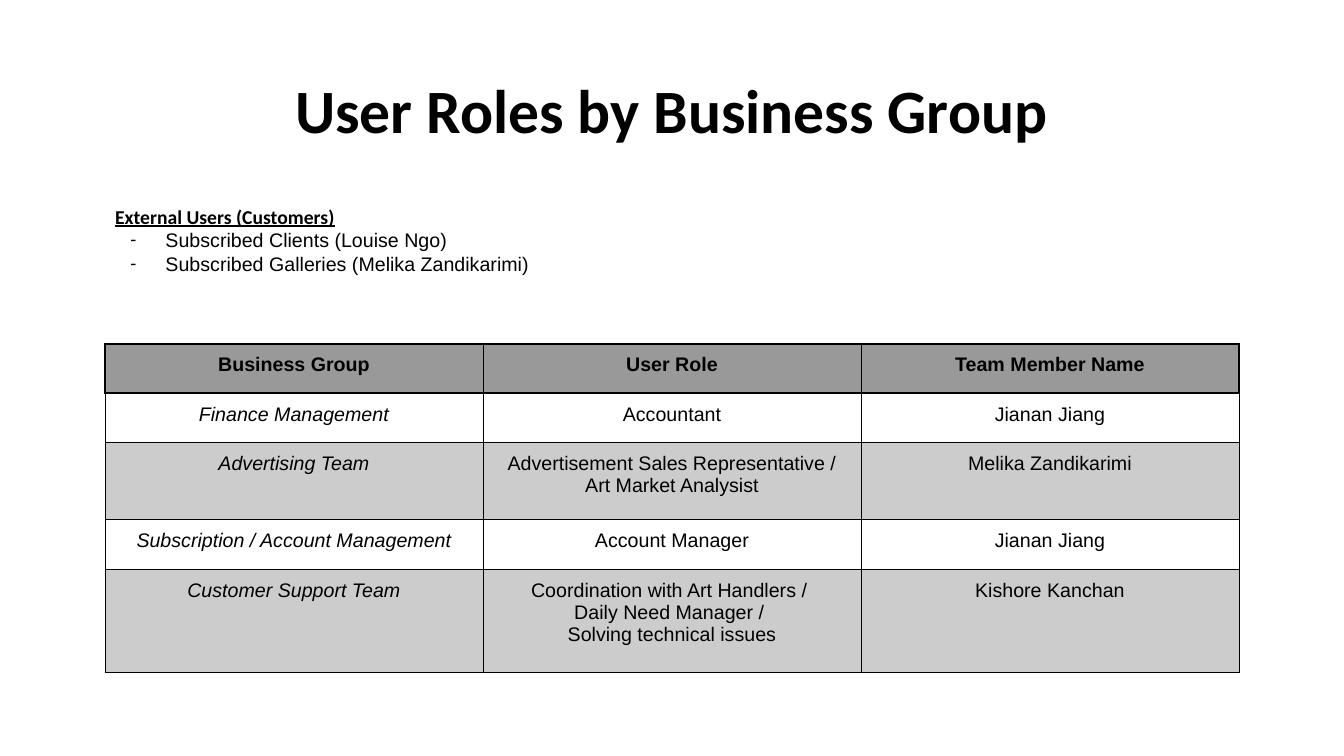
from dataclasses import dataclass

from lxml import etree
from pptx import Presentation
from pptx.dml.color import RGBColor
from pptx.enum.text import MSO_ANCHOR, MSO_AUTO_SIZE, PP_ALIGN
from pptx.oxml.ns import qn
from pptx.util import Pt

CENTER, LEFT = PP_ALIGN.CENTER, PP_ALIGN.LEFT
TOP, MIDDLE = MSO_ANCHOR.TOP, MSO_ANCHOR.MIDDLE
FIT_SHAPE, NO_FIT = MSO_AUTO_SIZE.SHAPE_TO_FIT_TEXT, MSO_AUTO_SIZE.NONE
TITLE_AND_CONTENT = 1


@dataclass(frozen=True)
class Theme:
    ink: str = "000000"
    header_fill: str = "999999"
    band_fill: str = "CCCCCC"
    heading_font: str = "Calibri"
    text_font: str = "Arial"
    title_size: float = 44
    text_size: float = 14
    inset: float = 7.2
    thin: float = 0.75
    thick: float = 1.5


@dataclass(frozen=True)
class Style:
    font: str
    size: float
    bold: bool = False
    italic: bool = False
    underline: bool = False


@dataclass(frozen=True)
class Role:
    group: str
    duties: tuple[str, ...]
    member: str
    height: float


THEME = Theme()
TITLE = Style(THEME.heading_font, THEME.title_size, bold=True)
HEADING = Style(THEME.heading_font, THEME.text_size, bold=True, underline=True)
PLAIN = Style(THEME.text_font, THEME.text_size)
BOLD = Style(THEME.text_font, THEME.text_size, bold=True)
ITALIC = Style(THEME.text_font, THEME.text_size, italic=True)

USERS_HEADING = "External Users (Customers)"
EXTERNAL_USERS = ("Subscribed Clients (Louise Ngo)", "Subscribed Galleries (Melika Zandikarimi)")
HEADER = Role("Business Group", ("User Role",), "Team Member Name", 35.4)
ROLES = (
    Role("Finance Management", ("Accountant",), "Jianan Jiang", 35.4),
    Role("Advertising Team", ("Advertisement Sales Representative / Art Market Analysist",),
         "Melika Zandikarimi", 54.8),
    Role("Subscription / Account Management", ("Account Manager",), "Jianan Jiang", 35.4),
    Role("Customer Support Team",
         ("Coordination with Art Handlers / ", "Daily Need Manager / ", "Solving technical issues"),
         "Kishore Kanchan", 73.8),
)
COLUMN_WIDTH = 270


def place(shape, left: float, top: float, width: float, height: float) -> None:
    shape.left, shape.top, shape.width, shape.height = map(Pt, (left, top, width, height))


def set_insets(holder, across: float, down: float) -> None:
    holder.margin_left = holder.margin_right = Pt(across)
    holder.margin_top = holder.margin_bottom = Pt(down)


def write(para, text: str, style: Style, align=LEFT) -> None:
    para.alignment = align
    span = para.add_run()
    span.text = text
    font = span.font
    font.name, font.size = style.font, Pt(style.size)
    font.bold, font.italic, font.underline = style.bold, style.italic, style.underline
    font.color.rgb = RGBColor.from_string(THEME.ink)


def set_bullet(para, mark: str = "", indent: float = 0, hanging: float = 0) -> None:
    """Give the paragraph a bullet mark, or none when the mark is empty."""
    properties = para._p.get_or_add_pPr()
    properties.set("marL", str(Pt(indent)))
    properties.set("indent", str(-Pt(hanging)))
    if not mark:
        etree.SubElement(properties, qn("a:buNone"))
        return
    color = etree.SubElement(properties, qn("a:buClr"))
    etree.SubElement(color, qn("a:srgbClr"), val=THEME.ink)
    etree.SubElement(properties, qn("a:buFont"), typeface=THEME.heading_font)
    etree.SubElement(properties, qn("a:buChar"), char=mark)


def set_borders(cell, widths: dict[str, float]) -> None:
    properties = cell._tc.get_or_add_tcPr()
    for side, width in widths.items():
        line = etree.SubElement(properties, qn(f"a:ln{side}"), w=str(Pt(width)))
        fill = etree.SubElement(line, qn("a:solidFill"))
        etree.SubElement(fill, qn("a:srgbClr"), val=THEME.ink)


def border_widths(row: int, column: int) -> dict[str, float]:
    """The header row has a thick frame; all other lines are thin."""
    def width(is_thick: bool) -> float:
        return THEME.thick if is_thick else THEME.thin
    return {
        "L": width(row == 0 and column == 0),
        "R": width(row == 0 and column == 2),
        "T": width(row <= 1),
        "B": width(row == 0),
    }


def add_title(page) -> None:
    box = page.shapes.title
    place(box, 66, 28.8, 828, 104.4)
    frame = box.text_frame
    frame.word_wrap, frame.auto_size, frame.vertical_anchor = True, NO_FIT, MIDDLE
    set_insets(frame, THEME.inset, 3.6)
    para = frame.paragraphs[0]
    para.line_spacing = 0.9
    write(para, "User Roles by Business Group", TITLE, CENTER)


def add_external_users(page) -> None:
    box = page.placeholders[1]
    place(box, 75, 139, 540, 65.5)
    frame = box.text_frame
    frame.word_wrap, frame.auto_size, frame.vertical_anchor = True, FIT_SHAPE, TOP
    set_insets(frame, THEME.inset, THEME.inset)
    heading = frame.paragraphs[0]
    set_bullet(heading)
    write(heading, USERS_HEADING, HEADING)
    for user in EXTERNAL_USERS:
        para = frame.add_paragraph()
        set_bullet(para, "-", 36, 25)
        write(para, user, PLAIN)
    for para in frame.paragraphs:
        para.space_before = Pt(0)


def fill_cell(cell, lines: tuple[str, ...], style: Style, row: int, column: int) -> None:
    set_insets(cell, THEME.inset, THEME.inset)
    cell.vertical_anchor = TOP
    set_borders(cell, border_widths(row, column))
    if row % 2:
        cell.fill.background()
    else:
        cell.fill.solid()
        color = THEME.band_fill if row else THEME.header_fill
        cell.fill.fore_color.rgb = RGBColor.from_string(color)
    frame = cell.text_frame
    for index, line in enumerate(lines):
        para = frame.add_paragraph() if index else frame.paragraphs[0]
        write(para, line, style, CENTER)


def add_roles_table(page) -> None:
    roles = (HEADER, *ROLES)
    height = sum(role.height for role in roles)
    table = page.shapes.add_table(
        len(roles), 3, Pt(75), Pt(245.6), Pt(3 * COLUMN_WIDTH), Pt(height)).table
    table.first_row = table.horz_banding = False
    for column in table.columns:
        column.width = Pt(COLUMN_WIDTH)
    for row, role in enumerate(roles):
        table.rows[row].height = Pt(role.height)
        styles = (ITALIC, PLAIN, PLAIN) if row else (BOLD, BOLD, BOLD)
        texts = ((role.group,), role.duties, (role.member,))
        for column, (lines, style) in enumerate(zip(texts, styles)):
            fill_cell(table.cell(row, column), lines, style, row, column)


def main() -> None:
    deck = Presentation()
    deck.slide_width, deck.slide_height = Pt(960), Pt(540)
    page = deck.slides.add_slide(deck.slide_layouts[TITLE_AND_CONTENT])
    add_title(page)
    add_roles_table(page)
    add_external_users(page)
    deck.save("out.pptx")


if __name__ == "__main__":
    main()
